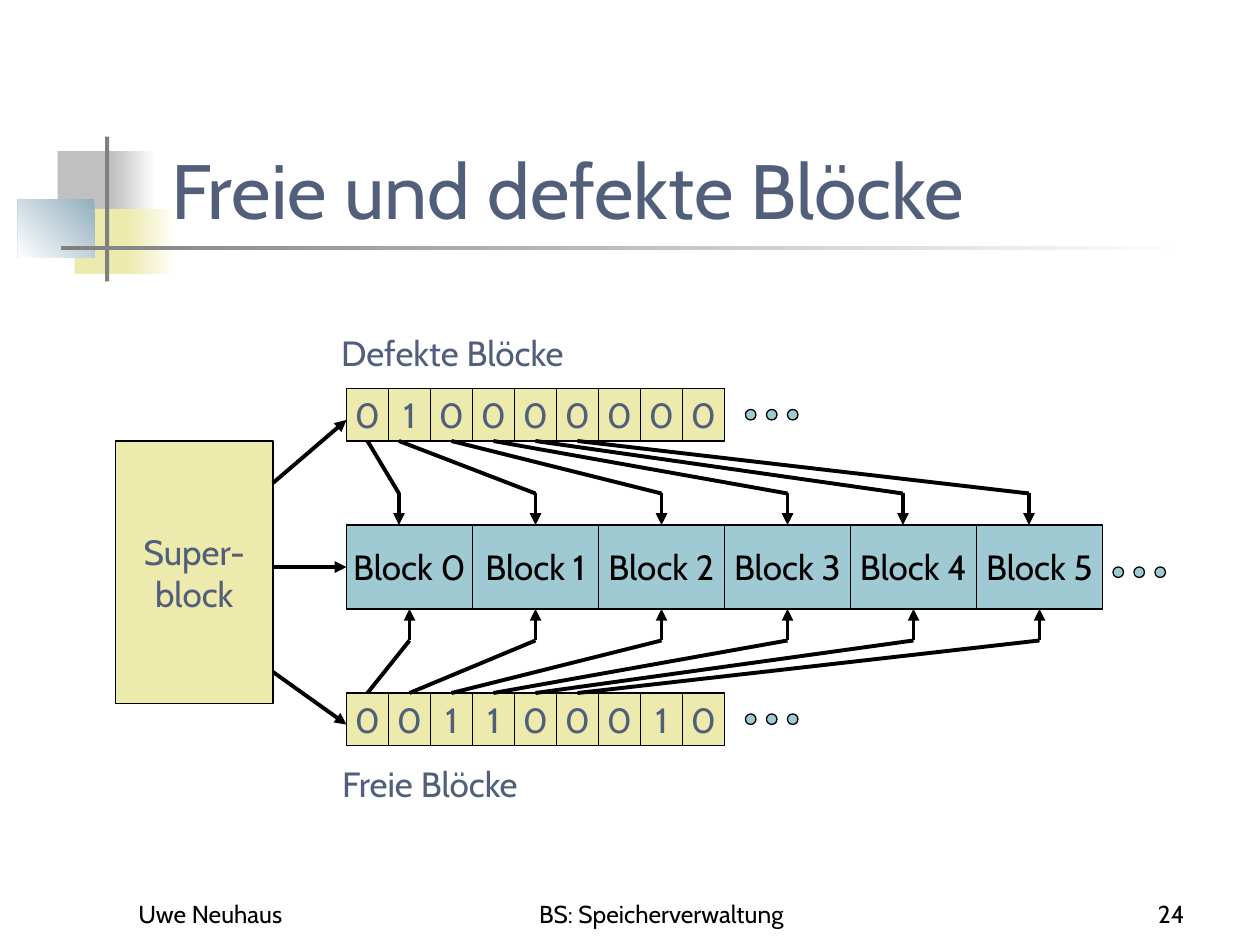
import lxml.etree
import pptx
import pptx.dml.color
import pptx.enum.shapes
import pptx.enum.text
import pptx.oxml.ns
import pptx.util

PX = 7620  # EMU per px, 120 px to the inch
FONT = "Cabin"
COLORS = {
    "white": "FFFFFF", "black": "000000", "slate": "515F7B", "sand": "ECEAAC",
    "teal": "9FCAD3", "silver": "C0C0C0", "gray": "808080", "steel": "91AFBF",
}
SHAPE = pptx.enum.shapes.MSO_SHAPE
ALIGN = pptx.enum.text.PP_ALIGN
ANCHOR = pptx.enum.text.MSO_ANCHOR
TOP, LEFT, BOTTOM = 0, 1, 2


def rgb(name):
    return pptx.dml.color.RGBColor.from_string(COLORS[name])


def emu(*lengths):
    return [pptx.util.Emu(length * PX) for length in lengths]


def write(tf, text, size, color, align=ALIGN.LEFT, anchor=ANCHOR.MIDDLE, wrap=True):
    tf.word_wrap = wrap
    tf.auto_size = pptx.enum.text.MSO_AUTO_SIZE.NONE
    tf.vertical_anchor = anchor
    p = tf.paragraphs[0]
    p.alignment = align
    for i, line in enumerate(text.split("\n")):
        if i:
            p.add_line_break()
        r = p.add_run()
        r.text = line
        r.font.name = FONT
        r.font.size = pptx.util.Pt(size)
        r.font.color.rgb = rgb(color)


def add_label(s, box, text, size, color, align=ALIGN.LEFT, anchor=ANCHOR.TOP):
    sp = s.shapes.add_textbox(*emu(*box))
    write(sp.text_frame, text, size, color, align, anchor)


def add_box(s, box, fill, kind=SHAPE.RECTANGLE, outline=True):
    sp = s.shapes.add_shape(kind, *emu(*box))
    sp.shadow.inherit = False
    sp.fill.solid()
    sp.fill.fore_color.rgb = rgb(fill)
    if outline:
        sp.line.color.rgb = rgb("black")
        sp.line.width = pptx.util.Pt(0.75)
    else:
        sp.line.fill.background()
    return sp


def add_fade(s, box, color, angle=0):
    """Rectangle fading from the colour to white."""
    sp = add_box(s, box, color, outline=False)
    sp.fill.gradient()
    sp.fill.gradient_angle = angle
    for stop, position, name in zip(sp.fill.gradient_stops, (0, 1), (color, "white")):
        stop.position = position
        stop.color.rgb = rgb(name)


def add_text_box(s, box, text, fill, color):
    sp = add_box(s, box, fill)
    write(sp.text_frame, text, 20, color, ALIGN.CENTER, wrap=False)
    return sp


def add_line(s, start, end, head=False):
    c = s.shapes.add_connector(
        pptx.enum.shapes.MSO_CONNECTOR.STRAIGHT, *emu(*start, *end))
    c.line.color.rgb = rgb("black")
    c.line.width = pptx.util.Pt(2.25)
    if head:
        ln = c.line._get_or_add_ln()
        lxml.etree.SubElement(ln, pptx.oxml.ns.qn("a:tailEnd"), type="triangle")
    sp_pr = c._element.spPr
    lxml.etree.SubElement(sp_pr, pptx.oxml.ns.qn("a:effectLst"))
    return c


def center_x(sp):
    return (sp.left + sp.width // 2) // PX


def add_row(s, box, texts, fill, color):
    """Row of equal cells, as wide as the box allows."""
    x, y, w, h = box
    cell = w // len(texts)
    return [add_text_box(s, (x + i * cell, y, cell, h), text, fill, color)
            for i, text in enumerate(texts)]


def add_dots(s, x, y):
    for i in range(3):
        add_box(s, (x + 20 * i, y, 10, 10), "teal", SHAPE.OVAL)


def add_bitmap(s, box, bits):
    x, y, w, h = box
    add_dots(s, x + w + 20, y + 20)
    return add_row(s, box, bits, "sand", "slate")


def add_pointers(s, bits, blocks, starts, ends, ys, sides):
    """Bent arrows from bits to blocks; ys are bit edge, bend and block edge."""
    bit_y, bend_y, block_y = ys
    for bit, block, start, end in zip(bits, blocks, starts, ends):
        slope = add_line(s, (start, bit_y), (end, bend_y))
        arrow = add_line(s, (end, bend_y), (end, block_y), head=True)
        if start == center_x(bit):
            slope.begin_connect(bit, sides[0])
        if end == center_x(block):
            arrow.end_connect(block, sides[1])


def add_decoration(s, box):
    x, y, w, h = box
    add_box(s, (x + 38, y + 14, 58, 62), "silver", outline=False)
    add_fade(s, (x + 89, y + 14, 43, 62), "silver")
    add_box(s, (x + 54, y + 69, 55, 62), "sand", outline=False)
    add_fade(s, (x + 103, y + 69, 48, 62), "sand")
    add_fade(s, (x, y + 60, 73, 55), "steel", 225)
    add_box(s, (x + 83, y, 4, h), "gray", outline=False)
    add_fade(s, (x + 41, y + 104, w - 41, 4), "gray")


def add_title(s, box, text):
    sp = s.shapes.title
    sp.left, sp.top, sp.width, sp.height = emu(*box)
    write(sp.text_frame, text, 44, "slate", anchor=ANCHOR.BOTTOM)


def add_diagram(s, box):
    x, y, w, h = box
    row_x = x + 220
    add_label(s, (row_x - 17, y, 258, 53), "Defekte Blöcke", 20, "slate")
    add_label(s, (row_x - 16, y + 410, 214, 53), "Freie Blöcke", 20, "slate")
    defect = add_bitmap(s, (row_x, y + 60, 360, 50), "010000000")
    free = add_bitmap(s, (row_x, y + 350, 360, 50), "001100010")
    names = [f"Block {i}" for i in range(6)]
    blocks = add_row(s, (row_x, y + 190, 720, 80), names, "teal", "black")
    add_dots(s, x + w - 50, y + 230)

    add_pointers(s, defect, blocks,
                 [row_x + dx for dx in (20, 50, 100, 140, 180, 220)],
                 [row_x + dx for dx in (50, 180, 300, 420, 530, 650)],
                 (y + 110, y + 160, y + 190), (BOTTOM, TOP))
    add_pointers(s, free, blocks, map(center_x, free), map(center_x, blocks),
                 (y + 350, y + 300, y + 270), (TOP, BOTTOM))

    add_text_box(s, (x, y + 110, 150, 250), "Super-\nblock", "sand", "slate")
    add_line(s, (x + 150, y + 150), (row_x, y + 90), head=True)
    middle = add_line(s, (x + 150, y + 230), (row_x, y + 230), head=True)
    middle.end_connect(blocks[0], LEFT)
    add_line(s, (x + 150, y + 330), (row_x, y + 380), head=True)


def add_footer(s, box):
    x, y, w, h = box
    for dx, width, text, align in (
        (0, 250, "Uwe Neuhaus", ALIGN.LEFT),
        (320, 380, "BS: Speicherverwaltung", ALIGN.CENTER),
        (w - 250, 250, "24", ALIGN.RIGHT),
    ):
        add_label(s, (x + dx, y, width, h), text, 14, "black", align, ANCHOR.BOTTOM)


def main():
    prs = pptx.Presentation()
    prs.slide_width, prs.slide_height = emu(1200, 900)
    s = prs.slides.add_slide(prs.slide_layouts[5])
    add_decoration(s, (17, 130, 1121, 138))
    add_title(s, (151, 80, 1022, 150), "Freie und defekte Blöcke")
    add_diagram(s, (110, 310, 1000, 463))
    add_footer(s, (120, 830, 1020, 60))
    prs.save("out.pptx")


if __name__ == "__main__":
    main()
